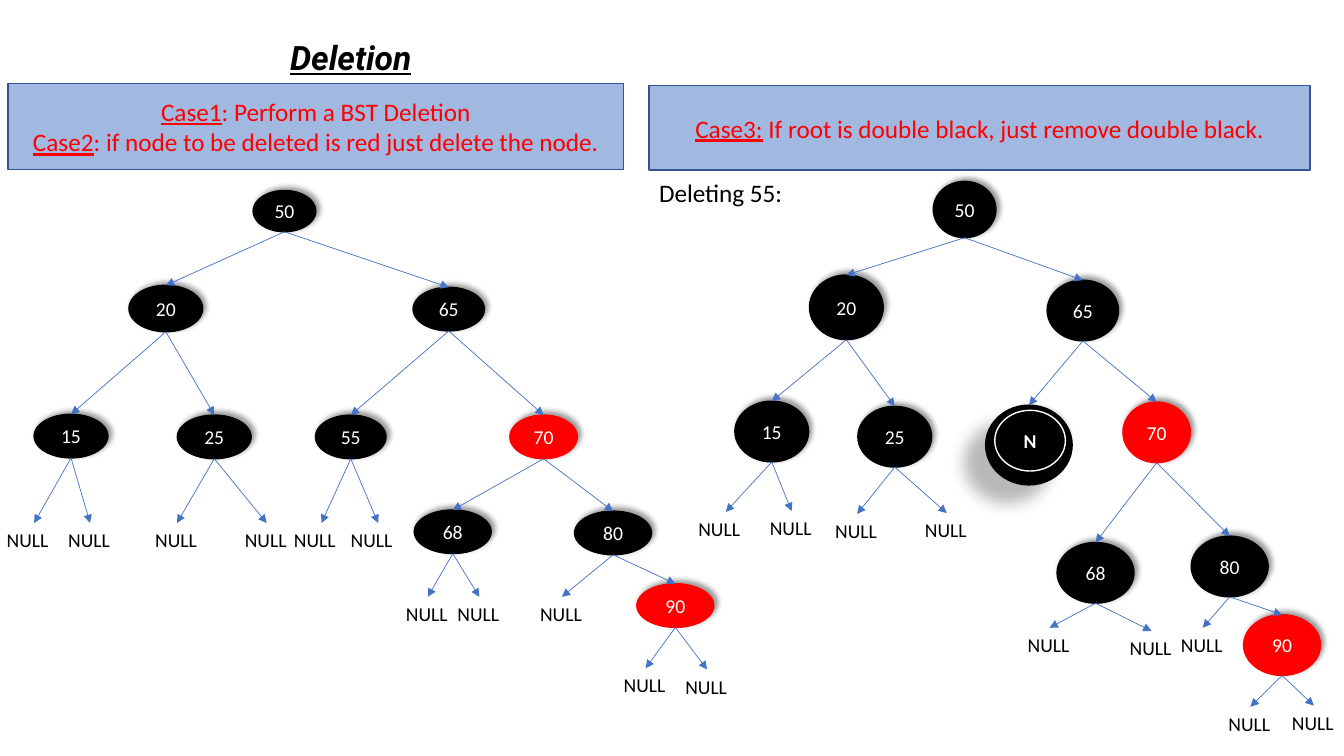
import pptx
import pptx.dml.color
import pptx.enum.shapes
import pptx.enum.text
import pptx.oxml
import pptx.oxml.ns
import pptx.util

Cm, Pt = pptx.util.Cm, pptx.util.Pt
MSO_SHAPE = pptx.enum.shapes.MSO_SHAPE
ALIGN, ANCHOR = pptx.enum.text.PP_ALIGN, pptx.enum.text.MSO_ANCHOR
BLACK, WHITE, RED, BLUE = "000000", "FFFFFF", "FF0000", "4472C4"
rgb = pptx.dml.color.RGBColor.from_string
A_NS = pptx.oxml.ns.nsdecls("a")


def style(p, size, color, align=ALIGN.CENTER, font="Calibri"):
    p.alignment = align
    p.font.size = Pt(size)
    p.font.name = font
    p.font.color.rgb = rgb(color)


def add_oval(label, box, color, line, shadow):
    """Add a tree node; shadow is opacity in %, blur and distance in pt, and angle."""
    sp = prs.slides[0].shapes.add_shape(MSO_SHAPE.OVAL, *[Cm(v) for v in box])
    sp.fill.solid()
    sp.fill.fore_color.rgb = rgb(color)
    sp.line.color.rgb = rgb(line)
    sp.line.width = Pt(1)
    opacity, blur, distance, angle = shadow
    sp._element.spPr.append(pptx.oxml.parse_xml(
        f'<a:effectLst {A_NS}><a:outerShdw blurRad="{Pt(blur)}" dist="{Pt(distance)}" '
        f'dir="{angle * 60000}" algn="ctr" rotWithShape="0"><a:srgbClr val="000000">'
        f'<a:alpha val="{opacity * 1000}"/></a:srgbClr></a:outerShdw></a:effectLst>'))
    sp.text_frame.vertical_anchor = ANCHOR.MIDDLE
    p = sp.text_frame.paragraphs[0]
    p.text = label
    style(p, 14, WHITE)
    return sp


prs = pptx.Presentation()
prs.slide_width, prs.slide_height = Cm(33.87), Cm(19.05)
s = prs.slides.add_slide(prs.slide_layouts[5])

# Title
title = s.shapes.title
title.left, title.top, title.width, title.height = Cm(0.74), Cm(0.81), Cm(16.2), Cm(1.27)
title.text_frame.text = "Deletion"
title.text_frame.vertical_anchor = ANCHOR.TOP
p = title.text_frame.paragraphs[0]
style(p, 24, BLACK, font="Roboto")
p.font.bold = p.font.italic = p.font.underline = True

# Case panels
panels = [
    ((0.2, 2.11, 15.52, 2.16), [
        ("Case1", ": Perform a BST Deletion"),
        ("Case2", ": if node to be deleted is red just delete the node."),
    ]),
    ((16.36, 2.16, 16.66, 2.13), [
        ("Case3:", " If root is double black, just remove double black."),
    ]),
]
for box, cases in panels:
    sp = s.shapes.add_shape(MSO_SHAPE.RECTANGLE, *[Cm(v) for v in box])
    sp.shadow.inherit = False
    sp.fill.solid()
    sp.fill.fore_color.rgb = rgb(BLUE)
    color = sp._element.spPr.find(".//" + pptx.oxml.ns.qn("a:srgbClr"))
    color.append(pptx.oxml.parse_xml(f'<a:alpha {A_NS} val="50000"/>'))
    sp.line.color.rgb = rgb("325491")
    sp.line.width = Pt(1)
    tf = sp.text_frame
    tf.vertical_anchor = ANCHOR.MIDDLE
    for i, (name, rule) in enumerate(cases):
        p = tf.add_paragraph() if i else tf.paragraphs[0]
        style(p, 18, RED)
        r = p.add_run()
        r.text = name
        r.font.underline = True
        p.add_run().text = rule

# Trees: label, parent, left, top, width and, for ovals, height
NULL, NARROW, WIDE = "NULL", 1.6, 1.88
before = [
    ("50", None, 6.38, 4.8, 1.58, 1.04),
    ("20", "50", 3.25, 7.19, 1.86, 1.17),
    ("65", "50", 10.41, 7.24, 1.8, 1.1),
    ("15", "20", 0.86, 10.44, 1.86, 1.1),
    ("25", "20", 4.47, 10.46, 1.86, 1.1),
    ("55", "65", 7.95, 10.46, 1.78, 1.1),
    ("70", "65", 12.85, 10.46, 1.7, 1.1),
    ("68", "70", 10.44, 12.85, 1.94, 1.1),
    ("80", "70", 14.48, 12.88, 1.94, 1.1),
    ("90", "80", 16.05, 14.71, 1.94, 1.1),
    (NULL, "15", -0.08, 13.18, WIDE),
    (NULL, "15", 1.47, 13.18, NARROW),
    (NULL, "25", 3.66, 13.18, NARROW),
    (NULL, "25", 5.92, 13.18, NARROW),
    (NULL, "55", 7.16, 13.18, WIDE),
    (NULL, "55", 8.59, 13.18, WIDE),
    (NULL, "68", 9.98, 15.04, NARROW),
    (NULL, "68", 11.28, 15.04, NARROW),
    (NULL, "80", 13.36, 15.04, NARROW),
    (NULL, "90", 15.47, 16.84, NARROW),
    (NULL, "90", 17.02, 16.87, NARROW),
]
after = [
    ("50", None, 23.52, 4.57, 1.58, 1.42),
    ("20", "50", 20.4, 6.93, 1.86, 1.63),
    ("65", "50", 26.39, 7.06, 1.8, 1.53),
    ("15", "20", 18.52, 10.11, 1.86, 1.53),
    ("25", "20", 21.62, 10.24, 1.86, 1.53),
    ("", "65", 24.84, 10.21, 2.18, 2.01),
    ("70", "65", 28.3, 10.13, 1.7, 1.53),
    ("68", "70", 26.64, 13.67, 1.94, 1.53),
    ("80", "70", 30.02, 13.51, 1.94, 1.53),
    ("90", "80", 31.34, 15.49, 1.94, 1.53),
    (NULL, "15", 17.35, 12.9, WIDE),
    (NULL, "15", 19.15, 12.88, NARROW),
    (NULL, "25", 20.8, 12.95, NARROW),
    (NULL, "25", 23.06, 12.93, NARROW),
    (NULL, "68", 25.65, 15.82, NARROW),
    (NULL, "68", 28.22, 15.9, NARROW),
    (NULL, "80", 29.51, 15.82, NARROW),
    (NULL, "90", 30.71, 17.81, NARROW),
    (NULL, "90", 32.31, 17.78, NARROW),
]
SOFT, DEEP = (40, 4, 3, 315), (28, 11.8, 19.7, 141)
for tree in (before, after):
    nodes = {}
    for label, parent, *box in tree:
        if label == NULL:
            sp = s.shapes.add_textbox(*[Cm(v) for v in box], Cm(0.86))
            sp.text_frame.word_wrap = True
            p = sp.text_frame.paragraphs[0]
            p.text = label
            style(p, 14, BLACK, ALIGN.LEFT)
        else:
            color = RED if label in ("70", "90") else BLACK
            sp = add_oval(label, box, color, color, SOFT if label else DEEP)
            nodes[label] = sp
        if parent:
            top = nodes[parent]
            cx = s.shapes.add_connector(
                pptx.enum.shapes.MSO_CONNECTOR.STRAIGHT,
                top.left + top.width // 2, top.top + top.height, sp.left, sp.top)
            cx.end_connect(sp, 0)
            cx.line.color.rgb = rgb(BLUE)
            cx.line.width = Pt(0.5)
            cx.line._get_or_add_ln().append(
                pptx.oxml.parse_xml(f'<a:tailEnd {A_NS} type="triangle"/>'))
            cx._element.spPr.append(pptx.oxml.parse_xml(f"<a:effectLst {A_NS}/>"))

# Double-black node and caption of the second tree
sp = add_oval("N", (25.07, 10.34, 1.78, 1.53), BLACK, WHITE, SOFT)
sp.text_frame.paragraphs[0].font.bold = True

caption = s.shapes.add_textbox(Cm(16.36), Cm(4.34), Cm(5), Cm(1.02))
caption.text_frame.word_wrap = True
p = caption.text_frame.paragraphs[0]
p.text = "Deleting 55:"
style(p, 18, BLACK, ALIGN.LEFT)

prs.save("out.pptx")
